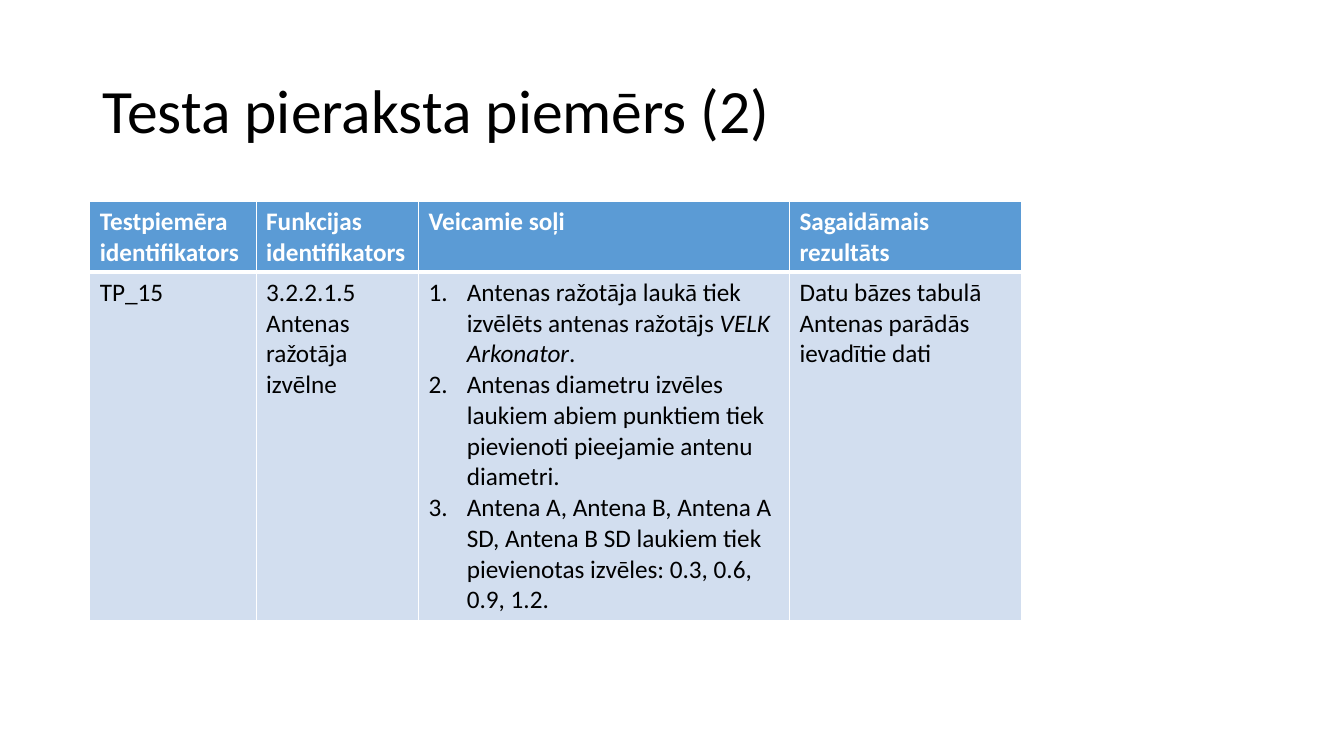
from dataclasses import dataclass

from lxml.etree import SubElement
from pptx import Presentation
from pptx.dml.color import RGBColor
from pptx.enum.text import MSO_ANCHOR
from pptx.oxml.ns import qn
from pptx.util import Pt

EMU_PER_PX = 9144


@dataclass(frozen=True)
class Theme:
    """Colours, font and type sizes of the slide."""
    font: str = "Calibri"
    title_size: int = 44
    table_size: int = 18
    text: str = "000000"
    header_text: str = "FFFFFF"
    header_fill: str = "5B9BD5"
    body_fill: str = "D2DEEF"
    border: str = "FFFFFF"
    thin_line: int = 1
    thick_line: int = 3


class SlideBuilder:
    """Draws styled elements on one slide, with lengths in px."""

    def __init__(self, slide, theme):
        """Keep the slide and its theme."""
        self.slide = slide
        self.theme = theme

    def style(self, paragraph, size, color, bold=False):
        """Set the font of a paragraph."""
        font = paragraph.font
        font.name = self.theme.font
        font.size = Pt(size)
        font.bold = bold
        font.color.rgb = RGBColor.from_string(color)

    def title(self, text, *box):
        """Add the title, centred vertically in its box."""
        shape = self.slide.shapes.add_textbox(*(px * EMU_PER_PX for px in box))
        frame = shape.text_frame
        frame.word_wrap = True
        frame.vertical_anchor = MSO_ANCHOR.MIDDLE
        paragraph = frame.paragraphs[0]
        paragraph.text = text
        paragraph.line_spacing = 0.9
        self.style(paragraph, self.theme.title_size, self.theme.text)

    def borders(self, cell, top, bottom):
        """Draw the four borders of a cell."""
        properties = cell._tc.get_or_add_tcPr()
        thin = self.theme.thin_line
        for side, width in (("L", thin), ("R", thin), ("T", top), ("B", bottom)):
            line = SubElement(properties, qn(f"a:ln{side}"), w=str(Pt(width)))
            fill = SubElement(line, qn("a:solidFill"))
            SubElement(fill, qn("a:srgbClr"), val=self.theme.border)

    def number(self, paragraph, indent):
        """Number a paragraph with a hanging indent."""
        properties = paragraph._p.get_or_add_pPr()
        properties.set("marL", str(indent * EMU_PER_PX))
        properties.set("indent", str(-indent * EMU_PER_PX))
        SubElement(properties, qn("a:buFont"), typeface="+mj-lt")
        SubElement(properties, qn("a:buAutoNum"), type="arabicPeriod")

    def cell(self, cell, content, header):
        """Fill one cell with plain text or with a list of numbered steps."""
        theme = self.theme
        thin, thick = theme.thin_line, theme.thick_line
        self.borders(cell, *((thin, thick) if header else (thick, thin)))
        cell.fill.solid()
        cell.fill.fore_color.rgb = RGBColor.from_string(
            theme.header_fill if header else theme.body_fill)
        numbered = isinstance(content, list)
        frame = cell.text_frame
        for index, runs in enumerate(content if numbered else [(content,)]):
            paragraph = frame.add_paragraph() if index else frame.paragraphs[0]
            for position, text in enumerate(runs):
                run = paragraph.add_run()
                run.text = text
                if position % 2:
                    run.font.italic = True
            color = theme.header_text if header else theme.text
            self.style(paragraph, theme.table_size, color, header)
            if numbered:
                self.number(paragraph, 38)

    def table(self, left, top, widths, heights, rows):
        """Add a table whose first row is the header."""
        box = (left, top, sum(widths), sum(heights))
        table = self.slide.shapes.add_table(
            len(heights), len(widths), *(px * EMU_PER_PX for px in box)).table
        table.horz_banding = False
        for column, width in zip(table.columns, widths):
            column.width = width * EMU_PER_PX
        for row_index, (row, height) in enumerate(zip(table.rows, heights)):
            row.height = height * EMU_PER_PX
            for cell, content in zip(row.cells, rows[row_index]):
                self.cell(cell, content, row_index == 0)


def main():
    """Build and save the slide."""
    presentation = Presentation()
    presentation.slide_width = 1333 * EMU_PER_PX
    presentation.slide_height = 750 * EMU_PER_PX
    slide = presentation.slides.add_slide(presentation.slide_layouts[6])
    builder = SlideBuilder(slide, Theme())
    builder.title("Testa pieraksta piemērs (2)", 92, 40, 1150, 145)
    steps = [
        ("Antenas ražotāja laukā tiek izvēlēts antenas ražotājs ",
         "VELK Arkonator", "."),
        ("Antenas diametru izvēles laukiem abiem punktiem tiek pievienoti "
         "pieejamie antenu diametri.",),
        ("Antena A, Antena B, Antena A SD, Antena B SD laukiem tiek "
         "pievienotas izvēles: 0.3, 0.6, 0.9, 1.2.",),
    ]
    builder.table(89, 200, (165, 161, 368, 230), (70, 346), (
        ("Testpiemēra identifikators", "Funkcijas identifikators",
         "Veicamie soļi", "Sagaidāmais rezultāts"),
        ("TP_15", "3.2.2.1.5 Antenas ražotāja izvēlne", steps,
         "Datu bāzes tabulā Antenas parādās ievadītie dati"),
    ))
    presentation.save("out.pptx")


if __name__ == "__main__":
    main()
